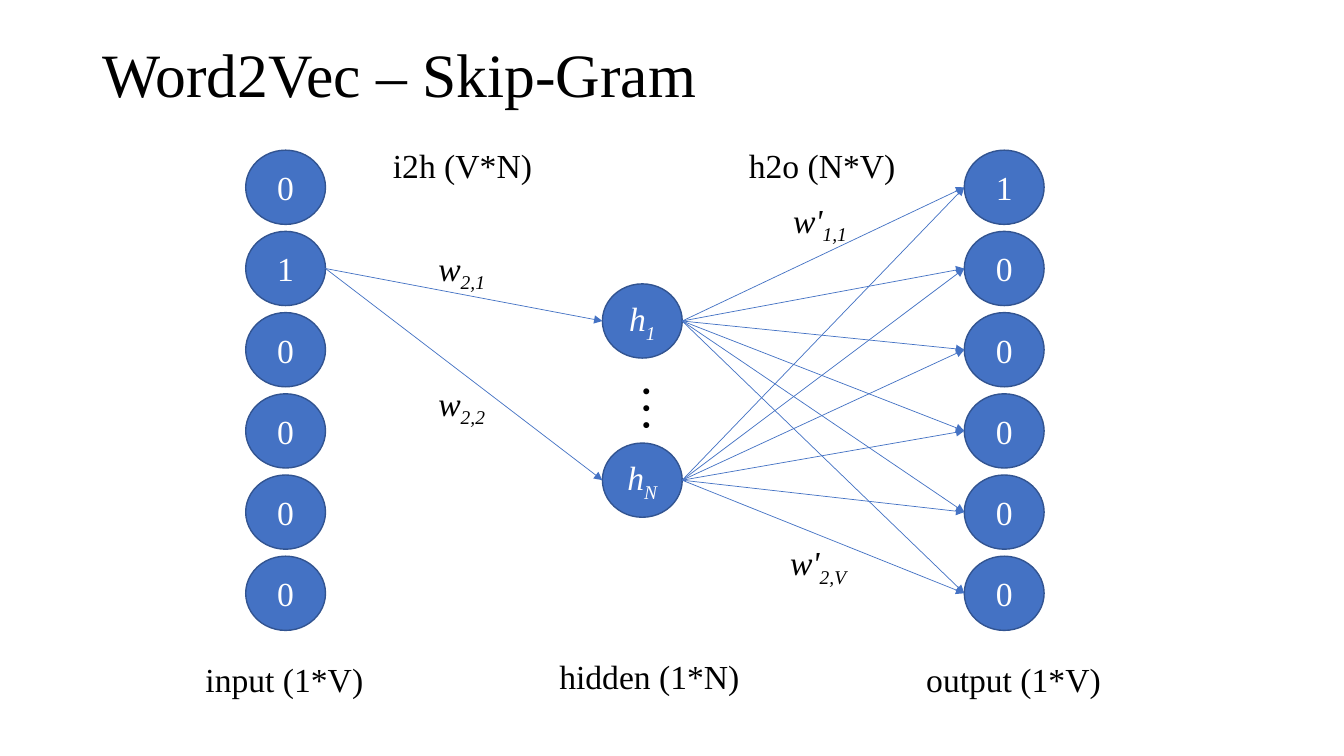
from lxml.etree import SubElement
from pptx import Presentation
from pptx.dml.color import RGBColor
from pptx.enum.shapes import MSO_CONNECTOR, MSO_SHAPE
from pptx.enum.text import MSO_ANCHOR, MSO_AUTO_SIZE, PP_ALIGN
from pptx.oxml.ns import qn
from pptx.util import Pt

FONT = "Times New Roman"
BLACK = RGBColor(0x00, 0x00, 0x00)
WHITE = RGBColor(0xFF, 0xFF, 0xFF)
BLUE = RGBColor(0x44, 0x72, 0xC4)
DARK_BLUE = RGBColor(0x32, 0x54, 0x91)

TITLE_ONLY = 5
NODE_WIDTH, NODE_HEIGHT = 57, 53
LAYER_TOP, NODE_PITCH = 107.3, 58
INPUT_LEFT, HIDDEN_LEFT, OUTPUT_LEFT = 175.5, 430.3, 688.8
HIDDEN_TOPS = (202.8, 316.5)
LABEL_HEIGHT = 36.3

# text, left, top, width
LAYER_LABELS = [
    ("input (1*V)", 139.7, 467.3, 128.2),
    ("hidden (1*N)", 392.4, 464.6, 144.7),
    ("output (1*V)", 654.5, 467.3, 140.4),
    ("i2h (V*N)", 273.6, 99.8, 115.2),
    ("h2o (N*V)", 527.8, 99.6, 120.2),
]
# symbol, subscript, left, top, width
WEIGHT_LABELS = [
    ("w", "2,1", 306, 173.5, 51.1),
    ("w", "2,2", 306, 270, 51.1),
    ("w'", "1,1", 559.4, 139, 56.2),
    ("w'", "2,V", 557.3, 383.8, 57.6),
]


def write_text(text_frame, text, color, subscript="", size=24):
    """Write one paragraph; a subscript makes the whole text italic."""
    paragraph = text_frame.paragraphs[0]
    paragraph.text = text
    if subscript:
        run = paragraph.add_run()
        run.text = subscript
        run.font._element.set("baseline", "-25000")
    for run in paragraph.runs:
        run.font.name = FONT
        run.font.size = Pt(size)
        run.font.color.rgb = color
        if subscript:
            run.font.italic = True
    return paragraph


def set_title(slide, text):
    title = slide.shapes.title
    title.left, title.top, title.width, title.height = Pt(66), Pt(2.9), Pt(828), Pt(104.4)
    title.text_frame.auto_size = MSO_AUTO_SIZE.NONE
    title.text_frame.vertical_anchor = MSO_ANCHOR.MIDDLE
    paragraph = write_text(title.text_frame, text, BLACK, size=44)
    paragraph.alignment = PP_ALIGN.LEFT
    paragraph.line_spacing = 0.9


def add_node(slide, left, top, text, subscript=""):
    node = slide.shapes.add_shape(
        MSO_SHAPE.OVAL, Pt(left), Pt(top), Pt(NODE_WIDTH), Pt(NODE_HEIGHT)
    )
    node.shadow.inherit = False
    node.fill.solid()
    node.fill.fore_color.rgb = BLUE
    node.line.color.rgb = DARK_BLUE
    node.line.width = Pt(1)
    node.text_frame.vertical_anchor = MSO_ANCHOR.MIDDLE
    paragraph = write_text(node.text_frame, text, WHITE, subscript)
    paragraph.alignment = PP_ALIGN.CENTER
    return node


def add_layer(slide, left, values):
    return [
        add_node(slide, left, LAYER_TOP + row * NODE_PITCH, value)
        for row, value in enumerate(values)
    ]


def add_arrow(slide, source, target):
    """Join the right side of one node to the left side of another."""
    arrow = slide.shapes.add_connector(
        MSO_CONNECTOR.STRAIGHT,
        source.left + source.width, source.top + source.height // 2,
        target.left, target.top + target.height // 2,
    )
    arrow.line.color.rgb = BLUE
    arrow.line.width = Pt(0.5)
    SubElement(arrow.line._get_or_add_ln(), qn("a:tailEnd"), type="triangle")
    SubElement(arrow.element.spPr, qn("a:effectLst"))


def add_label(slide, left, top, width, text, subscript="", height=LABEL_HEIGHT, size=24):
    label = slide.shapes.add_textbox(Pt(left), Pt(top), Pt(width), Pt(height))
    label.text_frame.word_wrap = False
    label.text_frame.auto_size = MSO_AUTO_SIZE.SHAPE_TO_FIT_TEXT
    write_text(label.text_frame, text, BLACK, subscript, size)
    return label


def add_vertical_ellipsis(slide):
    label = add_label(slide, 441.4, 267.1, 58.3, "…", height=43.9, size=36)
    label.element.txBody.find(qn("a:bodyPr")).set("vert", "eaVert")


def main():
    presentation = Presentation()
    presentation.slide_width, presentation.slide_height = Pt(960), Pt(540)
    slide = presentation.slides.add_slide(presentation.slide_layouts[TITLE_ONLY])
    set_title(slide, "Word2Vec – Skip-Gram")

    # Layers
    inputs = add_layer(slide, INPUT_LEFT, "010000")
    hidden = [
        add_node(slide, HIDDEN_LEFT, top, "h", index)
        for top, index in zip(HIDDEN_TOPS, "1N")
    ]
    add_vertical_ellipsis(slide)
    outputs = add_layer(slide, OUTPUT_LEFT, "100000")

    # Weights: only the active input feeds the hidden layer
    for hidden_node in hidden:
        add_arrow(slide, inputs[1], hidden_node)
    for hidden_node in hidden:
        for output_node in outputs:
            add_arrow(slide, hidden_node, output_node)

    # Labels
    for text, left, top, width in LAYER_LABELS:
        add_label(slide, left, top, width, text)
    for symbol, subscript, left, top, width in WEIGHT_LABELS:
        add_label(slide, left, top, width, symbol, subscript)

    presentation.save("out.pptx")


if __name__ == "__main__":
    main()
